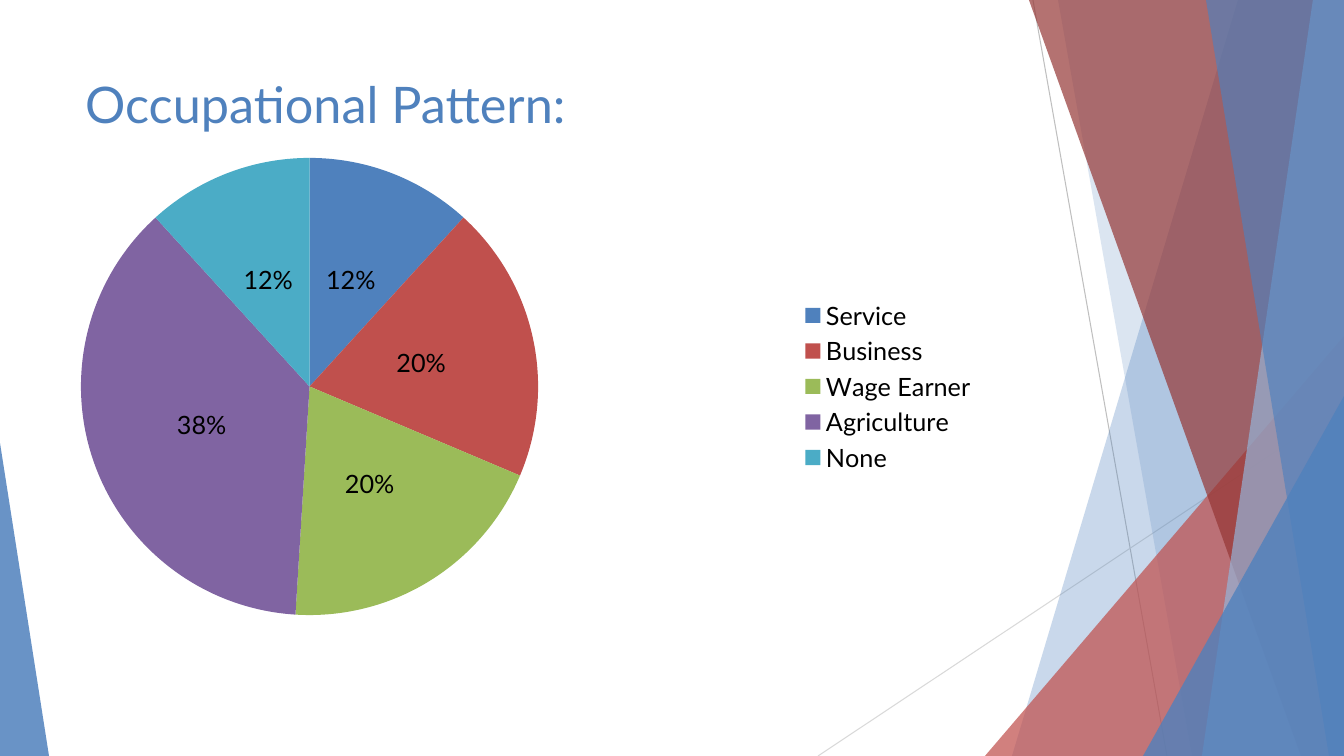
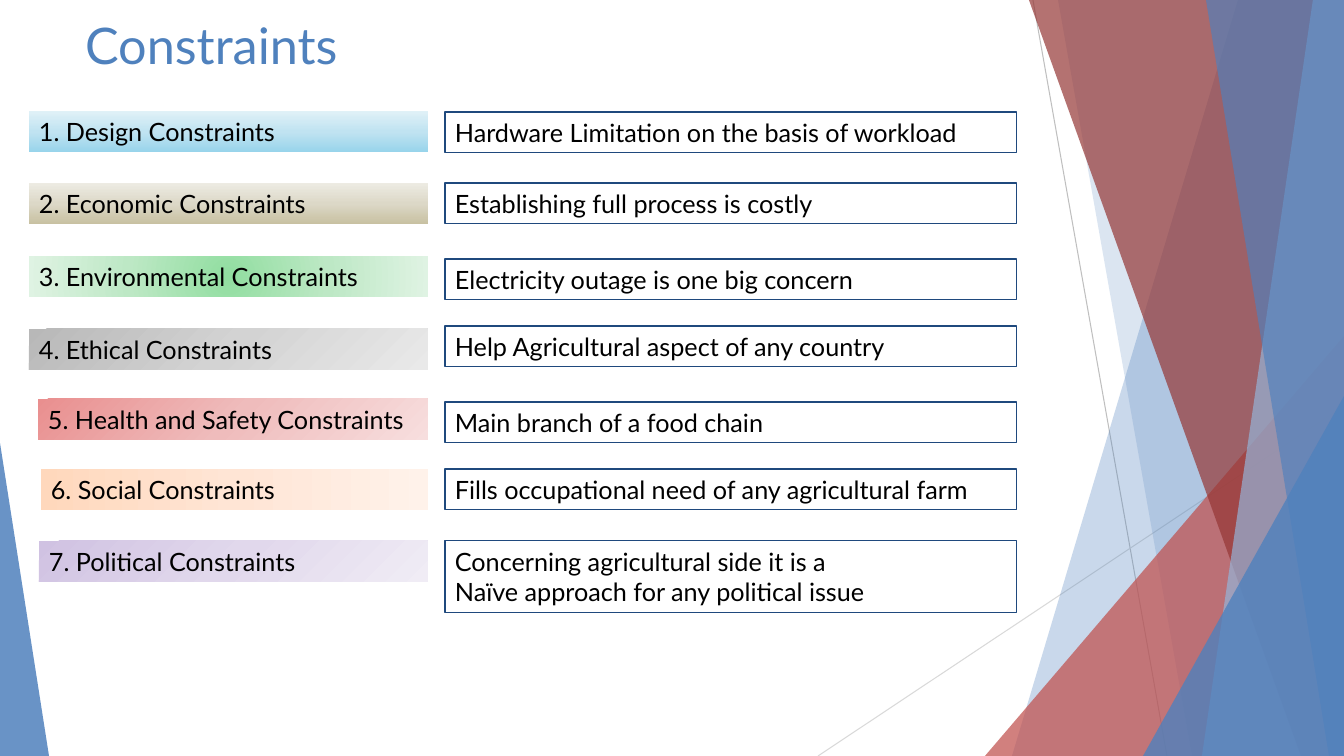
from lxml import etree
from pptx import Presentation
from pptx import util as u
from pptx.chart import data
from pptx.dml.color import RGBColor
from pptx.enum import chart as ch, shapes, text
from pptx.oxml import ns

PX = 914400 / 100.8  # EMU in one px
WIDE, HIGH = 1344, 756

BLUE = RGBColor(0x4F, 0x81, 0xBD)
RED = RGBColor(0xC0, 0x50, 0x4D)
GREEN = RGBColor(0x9B, 0xBB, 0x59)
PURPLE = RGBColor(0x80, 0x64, 0xA2)
TEAL = RGBColor(0x4B, 0xAC, 0xC6)
MAROON = RGBColor(0x95, 0x37, 0x35)
PALE = RGBColor(0x95, 0xB3, 0xD7)
NAVY = RGBColor(0x1F, 0x49, 0x7D)
GREY = RGBColor(0xBF, 0xBF, 0xBF)
SILVER = RGBColor(0xD9, 0xD9, 0xD9)
BLACK = RGBColor(0, 0, 0)

HEAD = {"name": "Lato", "size": u.Pt(36), "bold": False}
BODY = {"name": "Lato", "size": u.Pt(18), "bold": False}
FRAME = {"word_wrap": True, "vertical_anchor": text.MSO_ANCHOR.TOP,
         "margin_left": u.Inches(0.1), "margin_right": u.Inches(0.1),
         "margin_top": u.Inches(0.05), "margin_bottom": u.Inches(0.05)}

JOBS = [("Service", 12, BLUE), ("Business", 20, RED), ("Wage Earner", 20, GREEN),
        ("Agriculture", 38, PURPLE), ("None", 12, TEAL)]

EDGE = 428  # right side of the labels
NOTE = 445  # left side of the notes
END = 1017  # right side of the notes
# label: left, top, words, gradient stops, angle (None is radial); note: top, height, words
ROWS = [
    (29, 111, "1. Design Constraints", "98D4EB C0E3F1 E0F1F7", 270,
     112, 41, "Hardware Limitation on the basis of workload"),
    (29, 183, "2. Economic Constraints", "C8C1A2 DCD8C7 EDEBE3", 270,
     183, 41, "Establishing full process is costly"),
    (29, 256, "3. Environmental Constraints", "91DEA0 BDE8C5 DFF3E3", None,
     259, 41, "Electricity outage is one big concern"),
    (29, 329, "4. Ethical Constraints", "B8B8B8 D3D3D3 E9E9E9", 45,
     326, 41, "Help Agricultural aspect of any country"),
    (38, 399, "5. Health and Safety Constraints", "E98F8F EFBCBC F7DEDE", 45,
     402, 41, "Main branch of a food chain"),
    (41, 469, "6. Social Constraints", "FFD8BC FFE5D5 FFF2EA", 0,
     469, 41, "Fills occupational need of any agricultural farm"),
    (39, 541, "7. Political Constraints", "D0C2E2 E1D8EC F0ECF5", 45,
     541, 72, "Concerning agricultural side it is a\nNaïve approach for any political issue"),
]


def px(*nums):
    return [u.Emu(round(n * PX)) for n in nums]


def style(item, form):
    for key, val in form.items():
        setattr(item, key, val)


def sub(node, tag, **attrs):
    return etree.SubElement(node, ns.qn(tag), attrs)


class Deck:
    def __init__(self):
        self.prs = Presentation()
        self.prs.slide_width, self.prs.slide_height = px(WIDE, HIGH)
        self.base = self.prs.slide_layouts[5]
        for spot in list(self.base.placeholders)[1:]:
            spot.element.getparent().remove(spot.element)
        self.slide = None

    def page(self, words, top, high):
        """Start a slide with its title; the first one also sets up the layout."""
        first = self.slide is None
        self.slide = self.prs.slides.add_slide(self.base)
        if first:
            self.decor()
        title = self.slide.shapes.title
        title.left, title.top, title.width, title.height = px(75, top, 948, high)
        self.label_text(title, words, HEAD, BLUE)
        title.text_frame.auto_size = text.MSO_AUTO_SIZE.NONE

    def decor(self):
        """Draw the shared shards and move them behind the layout's title."""
        parts = [
            self.line(1033, 0, 1167, HIGH, GREY),
            self.line(WIDE, 406, 818, HIGH, SILVER),
            self.shard(1238, 1012, BLUE, 30),
            self.shard(1058, 1192, BLUE, 20),
            self.wedge(985, 336, 359, 1, RED, 72),
            self.shard(1029, 1301, MAROON, 70),
            self.shard(1313, 1202, PALE, 70),
            self.shard(1206, 1329, BLUE, 65),
            self.wedge(1143, 396, 201, 1, BLUE, 80),
            self.wedge(0, 443, 49, 0, BLUE, 85),
        ]
        for spot, part in enumerate(parts, 2):
            self.base.shapes.element.insert(spot, part.element)

    def line(self, x1, y1, x2, y2, color):
        item = self.slide.shapes.add_connector(
            shapes.MSO_CONNECTOR.STRAIGHT, *px(x1, y1, x2, y2))
        item.line.color.rgb = color
        item.line.width = u.Pt(0.75)
        sub(item.element.spPr, "a:effectLst")
        return item

    def shard(self, top, foot, color, alpha):
        """A full-height band from a slanted left side to the slide's edge."""
        pen = self.slide.shapes.build_freeform(top, 0, PX)
        pen.add_line_segments([(WIDE, 0), (WIDE, HIGH), (foot, HIGH)])
        return self.tint(pen.convert_to_shape(), color, alpha)

    def wedge(self, left, top, wide, apex, color, alpha):
        item = self.slide.shapes.add_shape(
            shapes.MSO_SHAPE.ISOSCELES_TRIANGLE, *px(left, top, wide, HIGH - top))
        item.adjustments[0] = apex
        return self.tint(item, color, alpha)

    def tint(self, item, color, alpha):
        item.shadow.inherit = False
        item.line.fill.background()
        item.fill.solid()
        item.fill.fore_color.rgb = color
        tone = item.element.spPr.find(".//" + ns.qn("a:srgbClr"))
        sub(tone, "a:alpha", val=str(alpha * 1000))
        return item

    def label_text(self, item, words, form, color):
        frame = item.text_frame
        frame.text = words
        style(frame, FRAME)
        for para in frame.paragraphs:
            para.alignment = text.PP_ALIGN.LEFT
            for run in para.runs:
                style(run.font, form)
                run.font.color.rgb = color

    def box(self, left, top, right, high, words):
        item = self.slide.shapes.add_shape(
            shapes.MSO_SHAPE.RECTANGLE, *px(left, top, right - left, high))
        item.shadow.inherit = False
        item.fill.background()
        item.line.fill.background()
        self.label_text(item, words, BODY, BLACK)
        item.text_frame.auto_size = text.MSO_AUTO_SIZE.SHAPE_TO_FIT_TEXT
        return item

    def label(self, left, top, words, stops, angle):
        item = self.box(left, top, EDGE, 41, words)
        grad = etree.Element(ns.qn("a:gradFill"), rotWithShape="1")
        tones = sub(grad, "a:gsLst")
        for step, tone in enumerate(stops.split()):
            stop = sub(tones, "a:gs", pos=str(step * 50000))
            sub(stop, "a:srgbClr", val=tone)
        if angle is None:
            ring = sub(grad, "a:path", path="circle")
            sub(ring, "a:fillToRect", **dict.fromkeys("ltrb", "50000"))
        else:
            sub(grad, "a:lin", ang=str(angle * 60000), scaled="0")
        props = item.element.spPr
        props.replace(props.find(ns.qn("a:noFill")), grad)

    def note(self, top, high, words):
        item = self.box(NOTE, top, END, high, words)
        item.line.color.rgb = NAVY
        item.line.width = u.Pt(0.75)

    def pie(self, left, top, wide, high, rows):
        names, vals, tones = zip(*rows)
        feed = data.CategoryChartData()
        feed.categories = names
        feed.add_series("Series 1", vals)
        chart = self.slide.shapes.add_chart(
            ch.XL_CHART_TYPE.PIE, *px(left, top, wide, high), feed).chart
        chart.has_title = False
        style(chart.font, BODY)
        chart.font.color.rgb = BLACK
        chart.has_legend = True
        style(chart.legend, {"position": ch.XL_LEGEND_POSITION.RIGHT,
                             "include_in_layout": False})
        plot = chart.plots[0]
        plot.vary_by_categories = True
        plot.has_data_labels = True
        style(plot.data_labels, {"show_value": True, "number_format": '0"%"',
                                 "number_format_is_linked": False,
                                 "position": ch.XL_LABEL_POSITION.CENTER})
        for spot, tone in enumerate(tones):
            fill = plot.series[0].points[spot].format.fill
            fill.solid()
            fill.fore_color.rgb = tone


def main():
    deck = Deck()
    deck.page("Occupational Pattern:", 68, 145)
    deck.pie(-178, 144, 1165, 485, JOBS)

    deck.page("Constraints", 9, 89)
    for row in ROWS:
        deck.label(*row[:5])
        deck.note(*row[5:])
    deck.prs.save("out.pptx")


if __name__ == "__main__":
    main()
